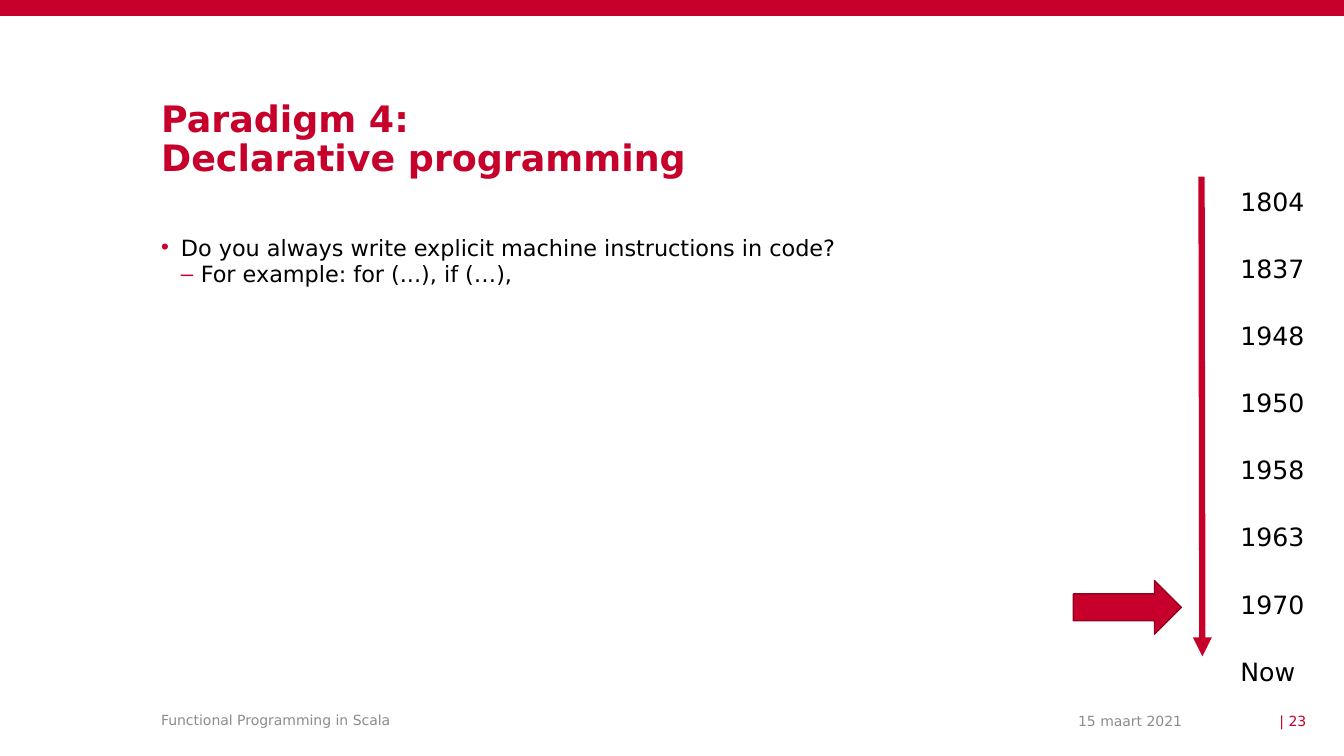
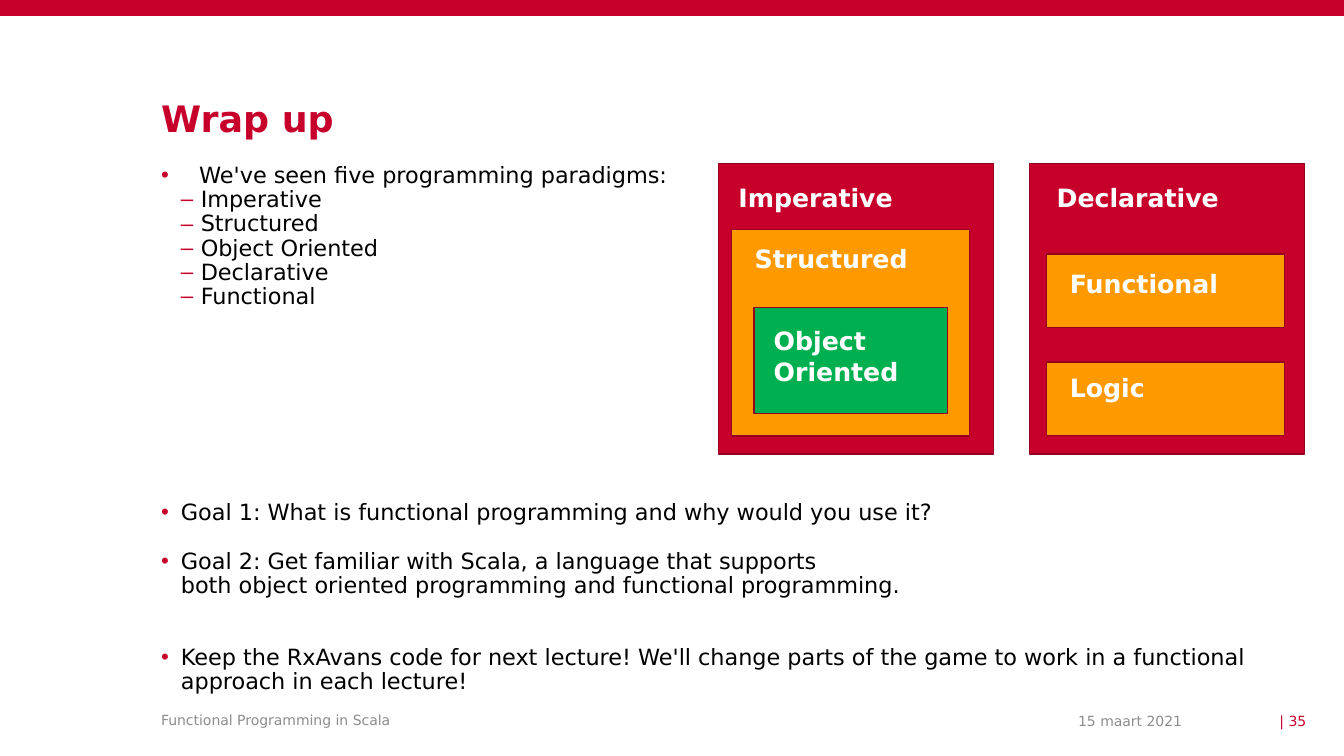
"""Build two lecture slides about programming paradigms."""
from dataclasses import dataclass

from lxml import etree
from pptx import Presentation
from pptx.dml.color import RGBColor
from pptx.enum.shapes import MSO_CONNECTOR, MSO_SHAPE
from pptx.enum.text import MSO_ANCHOR, MSO_AUTO_SIZE, PP_ALIGN
from pptx.oxml.ns import qn
from pptx.util import Cm, Pt

LEFT, RIGHT = PP_ALIGN.LEFT, PP_ALIGN.RIGHT
TOP, MIDDLE = MSO_ANCHOR.TOP, MSO_ANCHOR.MIDDLE
FIXED = MSO_AUTO_SIZE.NONE
RECTANGLE, RIGHT_ARROW = MSO_SHAPE.RECTANGLE, MSO_SHAPE.RIGHT_ARROW
STRAIGHT = MSO_CONNECTOR.STRAIGHT

FONT = "DejaVu Sans"
RED, DARK_RED, ORANGE, GREEN = "C7002B", "930020", "FF9900", "00B050"
BLACK, WHITE, GRAY = "000000", "FFFFFF", "8C8C8C"

SLIDE_WIDTH, SLIDE_HEIGHT = 33.87, 19.05
MARGIN = 4.06
YEARS = ("1804", "1837", "1948", "1950", "1958", "1963", "1970", "Now")
YEAR_TOP, YEAR_STEP = 4.57, 1.69


@dataclass(frozen=True)
class Area:
    """A rectangle on the page in centimetres."""

    left: float
    top: float
    width: float
    height: float

    def lengths(self) -> tuple:
        """Return the four sides as slide lengths."""
        return Cm(self.left), Cm(self.top), Cm(self.width), Cm(self.height)


@dataclass(frozen=True)
class Bullet:
    """A list item with its level, hanging indent and gap above in points."""

    text: str
    level: int = 0
    hanging: float = 0.5
    before: float = 0


@dataclass(frozen=True)
class Paradigm:
    """A labelled block of the paradigm diagram."""

    name: str
    area: Area
    color: str
    inset_left: float
    inset_top: float


TITLE_AREA = Area(MARGIN, 2.54, 18.92, 0.99)
QUESTIONS = (
    Bullet("Do you always write explicit machine instructions in code?"),
    Bullet("For example: for (...), if (…),", level=1),
)
SUMMARY = (
    Bullet("We've seen five programming paradigms:", hanging=0.96),
    *(Bullet(name, level=1) for name in
      ("Imperative", "Structured", "Object Oriented", "Declarative", "Functional")),
    Bullet("Goal 1: What is functional programming and why would you use it?", before=137),
    Bullet("Goal 2: Get familiar with Scala, a language that supports\n"
           "both object oriented programming and functional programming.", before=17.5),
    Bullet("Keep the RxAvans code for next lecture! We'll change parts of the game "
           "to work in a functional approach in each lecture!", before=34.5),
)
PARADIGMS = (
    Paradigm("Imperative", Area(18.11, 4.12, 6.93, 7.32), RED, 0.5, 0.48),
    Paradigm("Declarative", Area(25.95, 4.12, 6.93, 7.32), RED, 0.68, 0.48),
    Paradigm("Structured", Area(18.44, 5.79, 6, 5.2), ORANGE, 0.58, 0.33),
    Paradigm("Object Oriented", Area(19, 7.75, 4.88, 2.67), GREEN, 0.5, 0.46),
    Paradigm("Functional", Area(26.38, 6.4, 6, 1.86), ORANGE, 0.58, 0.36),
    Paradigm("Logic", Area(26.38, 9.12, 6, 1.86), ORANGE, 0.58, 0.26),
)


def rgb(value: str) -> RGBColor:
    """Turn a hex string into a colour."""
    return RGBColor.from_string(value)


def write(frame, text: str, *, size: float, color: str = BLACK, bold: bool = False,
          align=LEFT, spacing: float = 1.0, before: float = 0):
    """Add a formatted paragraph to a frame and return it."""
    para = frame.add_paragraph() if frame.text else frame.paragraphs[0]
    para.alignment = align
    para.line_spacing = spacing
    para.space_before = Pt(before)
    for index, line in enumerate(text.split("\n")):
        if index:
            para.add_line_break()
        span = para.add_run()
        span.text = line
        span.font.name = FONT
        span.font.size = Pt(size)
        span.font.bold = bold
        span.font.color.rgb = rgb(color)
    return para


def prepare(frame, anchor=TOP, left: float = 0, top: float = 0, right: float = 0):
    """Set wrapping, anchor and margins of a frame and return it."""
    frame.word_wrap = True
    frame.auto_size = FIXED
    frame.vertical_anchor = anchor
    frame.margin_left, frame.margin_top = Cm(left), Cm(top)
    frame.margin_right, frame.margin_bottom = Cm(right), Cm(0)
    return frame


def place(shape, area: Area) -> None:
    """Move and size a shape."""
    shape.left, shape.top, shape.width, shape.height = area.lengths()


def add_label(page, text: str, area: Area, **style):
    """Add a vertically centred line of text."""
    box = page.shapes.add_textbox(*area.lengths())
    write(prepare(box.text_frame, MIDDLE), text, **style)
    return box


def add_block(page, kind, area: Area, fill: str, outline: str = ""):
    """Add a filled preset shape."""
    box = page.shapes.add_shape(kind, *area.lengths())
    box.shadow.inherit = False
    box.fill.solid()
    box.fill.fore_color.rgb = rgb(fill)
    if outline:
        box.line.color.rgb = rgb(outline)
        box.line.width = Pt(1)
    else:
        box.line.fill.background()
    return box


def add_bullets(page, items: tuple, area: Area, spacing: float) -> None:
    """Fill the body placeholder with a bulleted list."""
    body = page.placeholders[1]
    place(body, area)
    frame = prepare(body.text_frame)
    for item in items:
        para = write(frame, item.text, size=16, spacing=spacing, before=item.before)
        para.level = item.level
        properties = para._p.get_or_add_pPr()
        properties.set("marL", str(Cm(item.hanging + 0.5 * item.level)))
        properties.set("indent", str(-Cm(item.hanging)))
        tint = etree.SubElement(properties, qn("a:buClr"))
        etree.SubElement(tint, qn("a:srgbClr"), val=RED)
        etree.SubElement(properties, qn("a:buChar"), char="–" if item.level else "•")


def add_page(deck, title: str, number: int):
    """Add a slide with its title, date and page number."""
    page = deck.slides.add_slide(deck.slide_layouts[1])
    write(prepare(page.shapes.title.text_frame), title,
          size=26, color=RED, bold=True, spacing=0.9)
    add_label(page, "15 maart 2021", Area(22.17, 17.86, 7.62, 0.6),
              size=10, color=GRAY, align=RIGHT)
    add_label(page, f"| {number}", Area(30.66, 17.86, 2.26, 0.6),
              size=10, color=RED, align=RIGHT)
    return page


def add_shared_parts(page) -> None:
    """Give the layout of a page its title place, top band and footer."""
    layout = page.slide_layout
    for holder in list(layout.placeholders):
        if holder.placeholder_format.idx >= 10:
            layout.shapes.element.remove(holder.element)
    place(layout.placeholders[0], TITLE_AREA)
    band = add_block(page, RECTANGLE, Area(0, 0, SLIDE_WIDTH, 0.4), RED)
    footer = add_label(page, "Functional Programming in Scala",
                       Area(MARGIN, 17.75, 16.87, 0.8), size=10, color=GRAY)
    for part in (footer, band):
        layout.shapes.element.append(part.element)


def add_timeline(page) -> None:
    """Draw the time arrow, its years and the marker."""
    axis = page.shapes.add_connector(STRAIGHT, Cm(30.28), Cm(4.45), Cm(30.3), Cm(16.54))
    axis.line.color.rgb = rgb(RED)
    axis.line.width = Pt(4.5)
    properties = axis.element.spPr
    etree.SubElement(properties.find(qn("a:ln")), qn("a:tailEnd"), type="triangle")
    etree.SubElement(properties, qn("a:effectLst"))
    for index, year in enumerate(YEARS):
        top = YEAR_TOP + index * YEAR_STEP
        add_label(page, year, Area(31.26, top, 2.2, 1.02), size=18)
    add_block(page, RIGHT_ARROW, Area(27.05, 14.63, 2.72, 1.35), RED, DARK_RED)


def add_paradigm(page, paradigm: Paradigm) -> None:
    """Draw one block of the paradigm diagram."""
    box = add_block(page, RECTANGLE, paradigm.area, paradigm.color, DARK_RED)
    frame = prepare(box.text_frame, TOP, paradigm.inset_left, paradigm.inset_top, 0.25)
    write(frame, paradigm.name, size=18, color=WHITE, bold=True)


def main() -> None:
    """Build and save the deck."""
    deck = Presentation()
    deck.slide_width, deck.slide_height = Cm(SLIDE_WIDTH), Cm(SLIDE_HEIGHT)

    declarative = add_page(deck, "Paradigm 4:\nDeclarative programming", 23)
    add_shared_parts(declarative)
    add_bullets(declarative, QUESTIONS, Area(MARGIN, 5.89, 25.73, 10.77), 1.0)
    add_timeline(declarative)

    wrap_up = add_page(deck, "Wrap up", 35)
    add_bullets(wrap_up, SUMMARY, Area(MARGIN, 4.14, 28.78, 14.15), 0.9)
    for paradigm in PARADIGMS:
        add_paradigm(wrap_up, paradigm)

    deck.save("out.pptx")


if __name__ == "__main__":
    main()
